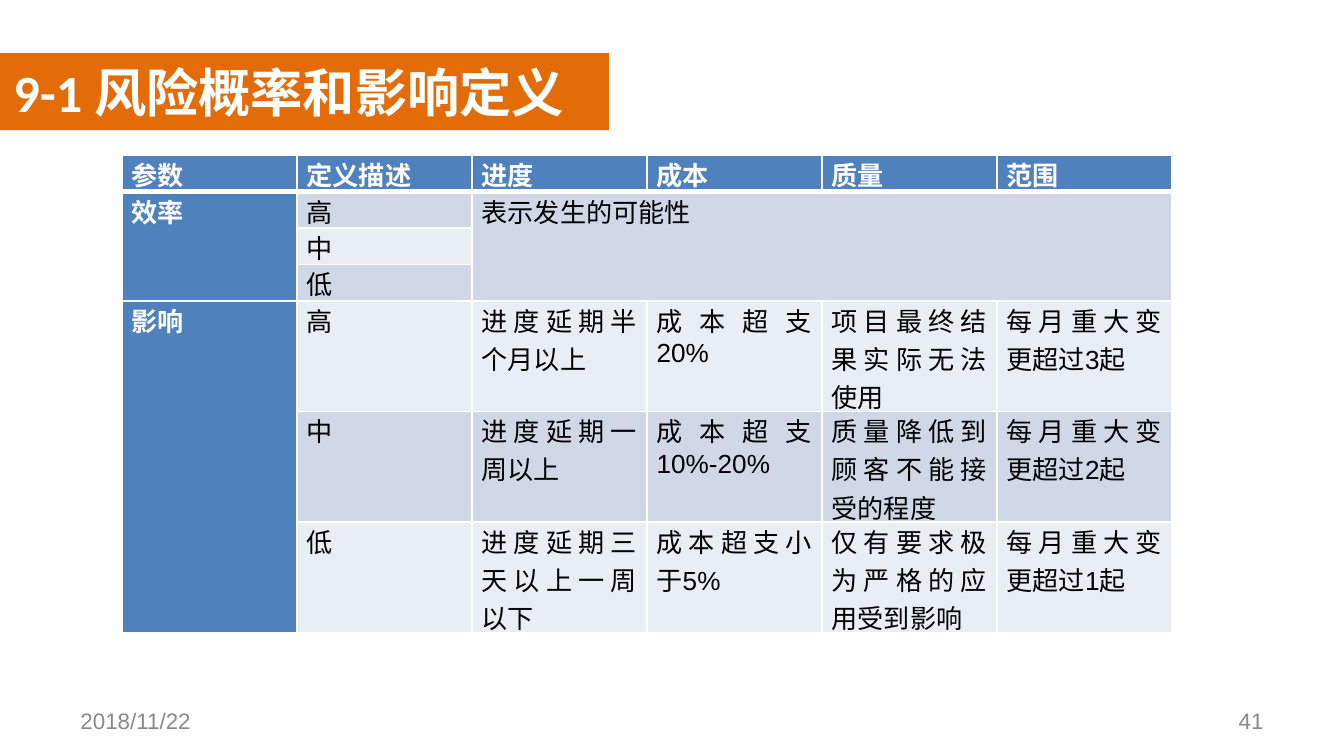
"""Build the slide that defines risk probability and impact levels."""
import dataclasses

import lxml.etree
import pptx
import pptx.dml.color
import pptx.enum.shapes
import pptx.enum.text
import pptx.oxml.ns
import pptx.util

EMU_PER_PX = 9525
ALIGN = pptx.enum.text.PP_ALIGN
ANCHOR = pptx.enum.text.MSO_ANCHOR

ROWS = [
    ["参数", "定义描述", "进度", "成本", "质量", "范围"],
    ["效率", "高", "表示发生的可能性", "", "", ""],
    ["", "中", "", "", "", ""],
    ["", "低", "", "", "", ""],
    ["影响", "高", "进度延期半个月以上", "成本超支20%", "项目最终结果实际无法使用", "每月重大变更超过3起"],
    ["", "中", "进度延期一周以上", "成本超支10%-20%", "质量降低到顾客不能接受的程度", "每月重大变更超过2起"],
    ["", "低", "进度延期三天以上一周以下", "成本超支小于5%", "仅有要求极为严格的应用受到影响", "每月重大变更超过1起"],
]
MERGES = [((1, 0), (3, 0)), ((1, 2), (3, 5)), ((4, 0), (6, 0))]
ROW_HEIGHTS = [26] * 4 + [79] * 3
COLUMN_WIDTH = 125


@dataclasses.dataclass(frozen=True)
class Theme:
    """Colours, fonts and type sizes of the slide."""
    white: str = "FFFFFF"
    black: str = "000000"
    grey: str = "898989"
    banner: str = "E36C09"
    header: str = "4F81BD"
    bands: tuple = ("E9EDF4", "D0D8E8")
    title_font: str = "Calibri"
    body_font: str = "Arial"
    title_size: int = 28
    table_size: int = 14
    footer_size: int = 12


THEME = Theme()


def px(length):
    """Turn whole pixels into EMU."""
    return pptx.util.Emu(length * EMU_PER_PX)


def set_attributes(target, values):
    """Set every attribute named in a dict of format values."""
    for name, value in values.items():
        setattr(target, name, value)


def paint(fill, colour):
    """Give a fill one solid colour."""
    fill.solid()
    fill.fore_color.rgb = pptx.dml.color.RGBColor.from_string(colour)


def write_text(text_frame, text, colour, alignment, font_values, frame_values):
    """Write one formatted paragraph into a text frame."""
    set_attributes(text_frame, frame_values)
    paragraph = text_frame.paragraphs[0]
    paragraph.alignment = alignment
    run = paragraph.add_run()
    run.text = text
    set_attributes(run.font, font_values)
    run.font.color.rgb = pptx.dml.color.RGBColor.from_string(colour)


def add_title(slide, text, box):
    """Draw the banner and set the title placeholder on it."""
    bounds = [px(length) for length in box]
    banner = slide.shapes.add_shape(pptx.enum.shapes.MSO_SHAPE.RECTANGLE, *bounds)
    banner.shadow.inherit = False
    paint(banner.fill, THEME.banner)
    banner.line.fill.background()
    title = slide.shapes.title
    set_attributes(title, dict(zip(("left", "top", "width", "height"), bounds)))
    title.element.getparent().append(title.element)
    write_text(
        title.text_frame, text, THEME.white, ALIGN.LEFT,
        {"name": THEME.title_font, "size": pptx.util.Pt(THEME.title_size), "bold": True},
        {"word_wrap": True, "vertical_anchor": ANCHOR.TOP,
         "auto_size": pptx.enum.text.MSO_AUTO_SIZE.SHAPE_TO_FIT_TEXT})


def add_footer(slide, text, left, alignment):
    """Add a small grey text on the footer line."""
    box = slide.shapes.add_textbox(px(left), px(500), px(224), px(29))
    write_text(
        box.text_frame, text, THEME.grey, alignment,
        {"name": THEME.body_font, "size": pptx.util.Pt(THEME.footer_size)},
        {"word_wrap": True, "vertical_anchor": ANCHOR.MIDDLE})


def add_borders(cell, widths):
    """Give a cell white borders, with widths in points by side."""
    properties = cell._tc.get_or_add_tcPr()
    qualify = pptx.oxml.ns.qn
    for side, width in widths.items():
        line = lxml.etree.SubElement(
            properties, qualify(f"a:ln{side}"), w=str(pptx.util.Pt(width)))
        fill = lxml.etree.SubElement(line, qualify("a:solidFill"))
        lxml.etree.SubElement(fill, qualify("a:srgbClr"), val=THEME.white)


def format_cell(cell, text, row, column):
    """Format one cell by its place in the table."""
    is_heading = row == 0 or column == 0
    add_borders(cell, {"L": 1, "R": 1, "T": 3 if row == 1 else 1, "B": 3 if row == 0 else 1})
    paint(cell.fill, THEME.header if is_heading else THEME.bands[row % 2])
    set_attributes(cell, {"margin_left": px(7), "margin_right": px(7),
                          "margin_top": 0, "margin_bottom": 0})
    if text:
        write_text(
            cell.text_frame, text, THEME.white if is_heading else THEME.black, ALIGN.JUSTIFY,
            {"name": THEME.body_font, "size": pptx.util.Pt(THEME.table_size),
             "bold": is_heading}, {})
    else:
        cell.text_frame.paragraphs[0].font.size = pptx.util.Pt(THEME.table_size)


def add_definition_table(slide, left, top):
    """Add the table of probability and impact definitions."""
    column_count = len(ROWS[0])
    table = slide.shapes.add_table(
        len(ROWS), column_count, px(left), px(top),
        px(COLUMN_WIDTH * column_count), px(sum(ROW_HEIGHTS))).table
    set_attributes(table, {"first_col": True})
    for column in table.columns:
        column.width = px(COLUMN_WIDTH)
    for row, height in zip(table.rows, ROW_HEIGHTS):
        row.height = px(height)
    for row, texts in enumerate(ROWS):
        for column, text in enumerate(texts):
            format_cell(table.cell(row, column), text, row, column)
    for first, last in MERGES:
        table.cell(*first).merge(table.cell(*last))


def main():
    """Build and save the slide."""
    presentation = pptx.Presentation()
    set_attributes(presentation, {"slide_width": px(960), "slide_height": px(540)})
    slide = presentation.slides.add_slide(presentation.slide_layouts[5])
    add_title(slide, "9-1 风险概率和影响定义", (0, 38, 435, 55))
    add_footer(slide, "2018/11/22", 48, ALIGN.LEFT)
    add_footer(slide, "41", 688, ALIGN.RIGHT)
    add_definition_table(slide, 87, 111)
    presentation.save("out.pptx")


if __name__ == "__main__":
    main()
